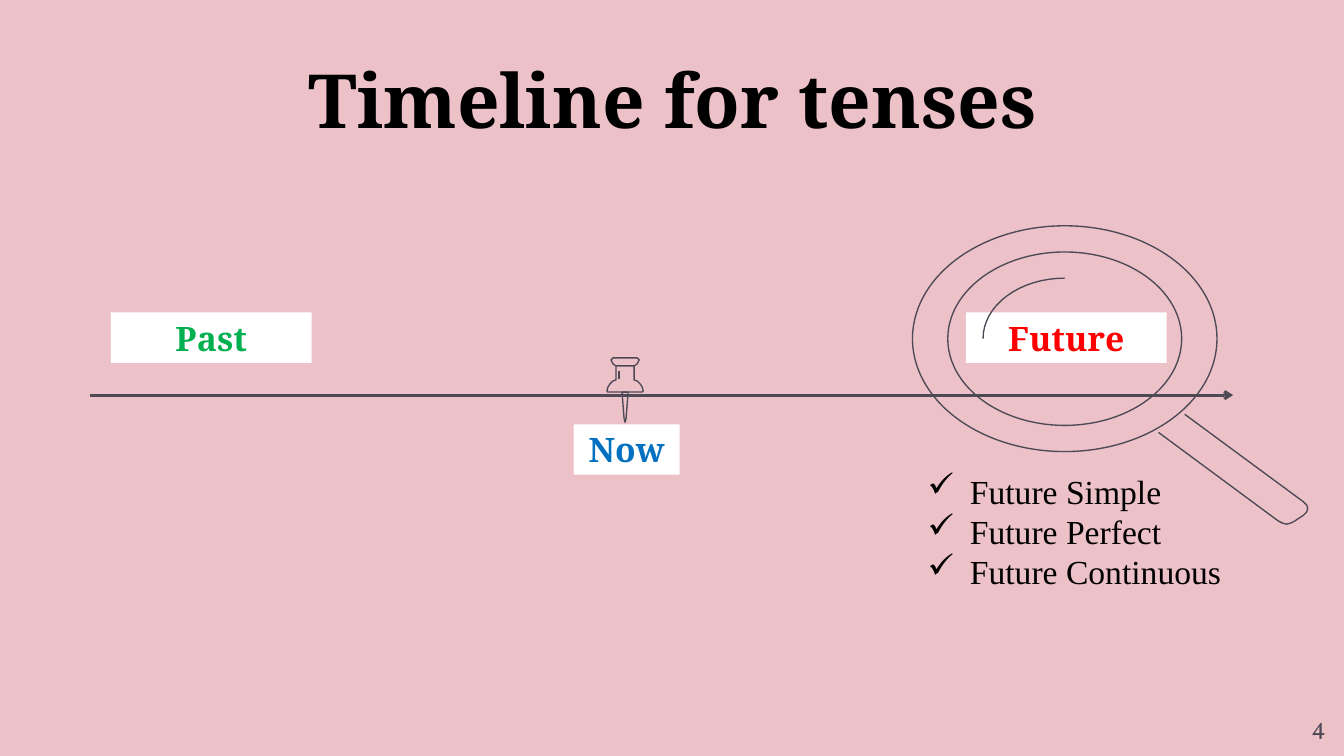
from math import cos, pi, sin

from lxml import etree
from pptx import Presentation
from pptx.dml.color import RGBColor
from pptx.enum.shapes import MSO_CONNECTOR, MSO_SHAPE
from pptx.enum.text import MSO_ANCHOR, MSO_AUTO_SIZE, PP_ALIGN
from pptx.oxml.ns import qn
from pptx.util import Inches, Pt

LEFT, CENTER, RIGHT = PP_ALIGN.LEFT, PP_ALIGN.CENTER, PP_ALIGN.RIGHT
TOP, MIDDLE, BOTTOM = MSO_ANCHOR.TOP, MSO_ANCHOR.MIDDLE, MSO_ANCHOR.BOTTOM
FIT = MSO_AUTO_SIZE.SHAPE_TO_FIT_TEXT
RECT, OVAL = MSO_SHAPE.RECTANGLE, MSO_SHAPE.OVAL
STRAIGHT = MSO_CONNECTOR.STRAIGHT

PINK = RGBColor(0xEC, 0xC1, 0xC8)
SLATE = RGBColor(0x4D, 0x4A, 0x56)
BLACK = RGBColor(0, 0, 0)
WHITE = RGBColor(0xFF, 0xFF, 0xFF)
BLUE = RGBColor(0x00, 0x70, 0xC0)
RED = RGBColor(0xFF, 0, 0)
GREEN = RGBColor(0x00, 0xB0, 0x50)
SERIF, TIMES, VOLLKORN = "Noto Serif", "Times New Roman", "Vollkorn"

# Content
TITLE = "Timeline for tenses"
NUMBER = "4"
TENSES = ["Future Simple", "Future Perfect", "Future Continuous"]
LABELS = [  # text, colour, left, top, width
    ("Now", BLUE, 5.69, 4.21, 1.05),
    ("Future", RED, 9.58, 3.1, 1.99),
    ("Past", GREEN, 1.1, 3.1, 1.99),
]

# Pushpin: right half of each outline, as offsets from its axis
PIN_X = 6.2
NEEDLE = [(0.03, 3.89), (0.01, 4.15), (0, 4.19)]
BODY = [(0.09, 3.63), (0.09, 3.77), (0.12, 3.78), (0.15, 3.81),
        (0.17, 3.84), (0.18, 3.88), (0.17, 3.89)]
CAP = [(0.12, 3.55), (0.14, 3.57), (0.13, 3.59), (0.12, 3.61), (0.09, 3.63)]
SHINE = [(6.14, 3.76), (6.14, 3.68)]

# Magnifier
LENS_X, LENS_Y = 10.56, 3.36
RINGS = [(1.51, 1.12), (1.16, 0.86)]
GLINT = (0.81, 0.6)
HANDLE = [(11.49, 4.29), (12.68, 5.17), (12.72, 5.19), (12.76, 5.2),
          (12.8, 5.19), (12.84, 5.17), (12.93, 5.11), (12.96, 5.08),
          (12.97, 5.04), (12.96, 5.01), (12.93, 4.98), (11.75, 4.11)]

deck = Presentation()
deck.slide_width, deck.slide_height = Inches(13.33), Inches(7.5)
slide = deck.slides.add_slide(deck.slide_layouts[6])
slide.background.fill.solid()
slide.background.fill.fore_color.rgb = PINK
shapes = slide.shapes


def write(shape, lines, font, size, color, align, anchor, bold=False):
    frame = shape.text_frame
    frame.word_wrap = True
    frame.vertical_anchor = anchor
    frame.text = "\n".join(lines)
    for par in frame.paragraphs:
        par.alignment = align
        for run in par.runs:
            run.font.name, run.font.size = font, Pt(size)
            run.font.bold = bold
            run.font.color.rgb = color
    return frame


def text(box, *style):
    frame = write(shapes.add_textbox(*map(Inches, box)), *style)
    frame.margin_left = frame.margin_right = Inches(0.13)
    frame.margin_top = frame.margin_bottom = Inches(0.13)
    return frame


def outline(shape):
    shape.shadow.inherit = False
    shape.fill.background()
    shape.line.color.rgb = SLATE
    shape.line.width = Pt(0.96)


def trace(points, close=False):
    spots = [(Inches(x), Inches(y)) for x, y in points]
    pen = shapes.build_freeform(*spots[0], scale=1.0)
    pen.add_line_segments(spots[1:], close=close)
    outline(pen.convert_to_shape())


def mirror(half):
    return ([(PIN_X + x, y) for x, y in half]
            + [(PIN_X - x, y) for x, y in reversed(half)])


def label(name, color, left, top, width):
    box = shapes.add_shape(RECT, *map(Inches, (left, top, width, 0.5)))
    box.shadow.inherit = False
    box.fill.solid()
    box.fill.fore_color.rgb = WHITE
    box.line.fill.background()
    frame = write(box, [name], SERIF, 24, color, CENTER, MIDDLE, True)
    frame.auto_size = FIT


label(*LABELS[0])
text((12.48, 6.93, 0.8, 0.57), [NUMBER], VOLLKORN, 17.3, SLATE, RIGHT, TOP)

# Time axis
axis = shapes.add_connector(
    STRAIGHT, *map(Inches, (0.89, 3.92, 12.23, 3.92)))
axis.line.color.rgb = SLATE
axis.line.width = Pt(2)
etree.SubElement(axis.line._get_or_add_ln(), qn("a:tailEnd"), type="arrow")
etree.SubElement(axis._element.spPr, qn("a:effectLst"))

text((1, 0.45, 11.34, 1.1), [TITLE], SERIF, 53.3, BLACK, CENTER, BOTTOM, True)

# Pushpin at the present moment
trace(mirror(NEEDLE), close=True)
trace(mirror(BODY))
trace(SHINE)
trace(mirror(CAP), close=True)

for item in LABELS[1:]:
    label(*item)

# Magnifier over the future
for rx, ry in RINGS:
    outline(shapes.add_shape(OVAL, *map(
        Inches, (LENS_X - rx, LENS_Y - ry, 2 * rx, 2 * ry))))
turns = [pi + pi / 2 * step / 16 for step in range(17)]
trace([(LENS_X + GLINT[0] * cos(t), LENS_Y + GLINT[1] * sin(t))
       for t in turns])
trace(HANDLE)

# Ticked list of tenses
frame = text((9.07, 4.54, 3.21, 1.68), TENSES, TIMES, 24, BLACK, LEFT, TOP)
for par in frame.paragraphs:
    props = par._p.get_or_add_pPr()
    props.set("marL", str(Inches(0.42)))
    props.set("indent", str(-Inches(0.42)))
    tint = etree.SubElement(props, qn("a:buClr"))
    etree.SubElement(tint, qn("a:srgbClr"), val=str(BLACK))
    etree.SubElement(props, qn("a:buChar"), char="✓")

deck.save("out.pptx")
